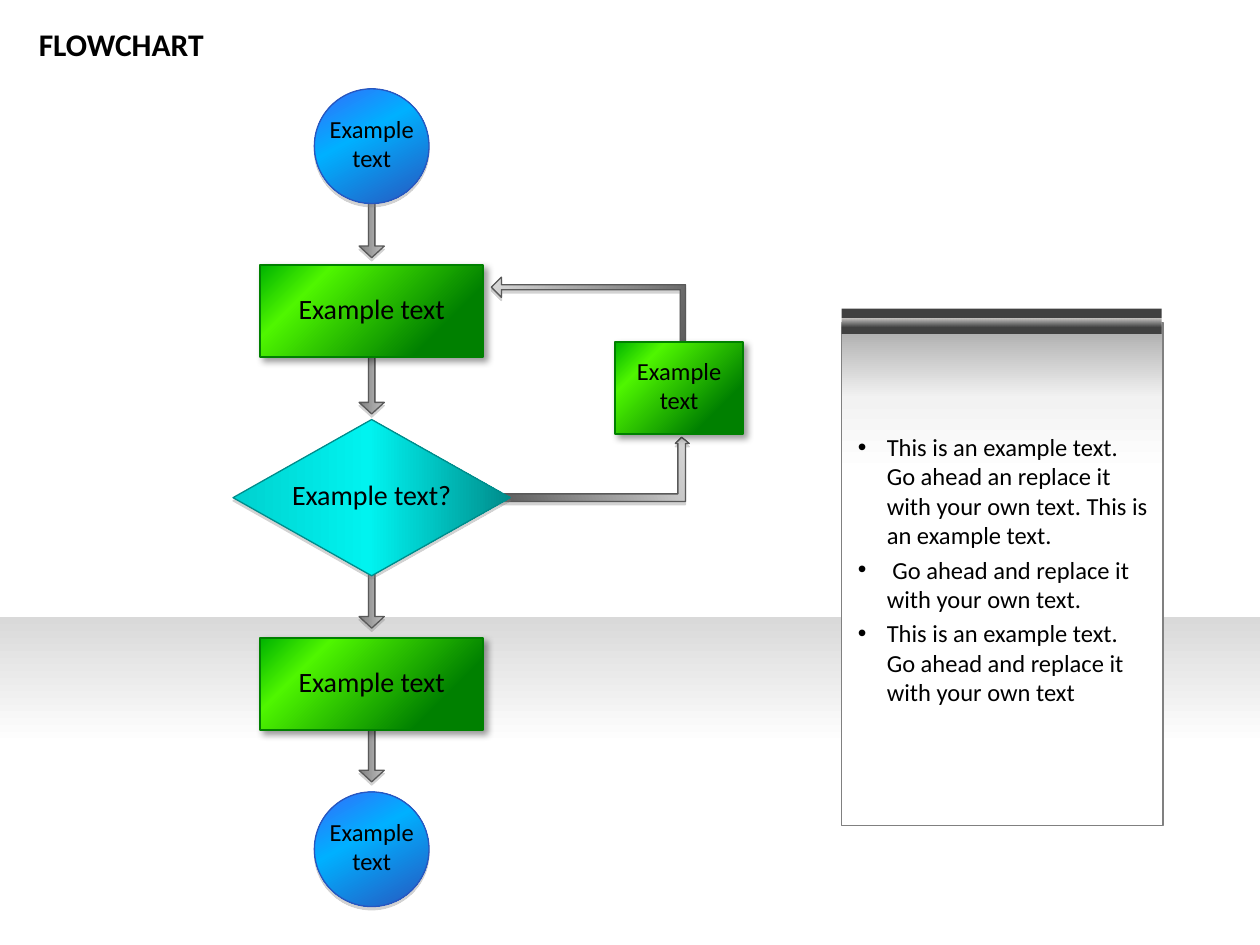
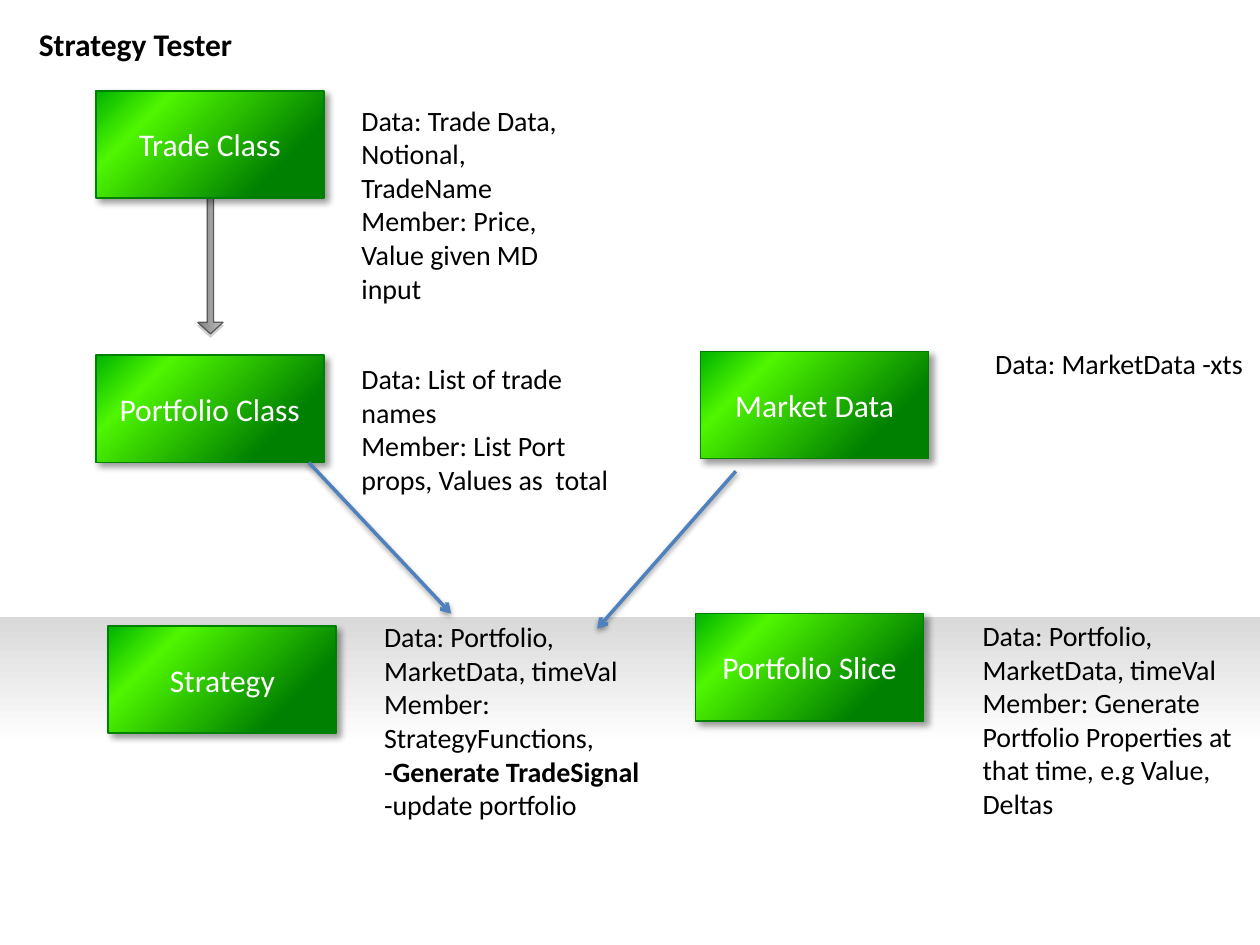
"""Build a two-slide deck: a generic flowchart and the class map of a strategy tester."""
from lxml import etree
from pptx import Presentation
from pptx.dml.color import RGBColor
from pptx.enum.shapes import MSO_CONNECTOR, MSO_SHAPE
from pptx.enum.text import MSO_ANCHOR, MSO_AUTO_SIZE, PP_ALIGN
from pptx.oxml.ns import qn
from pptx.util import Inches, Pt

RECTANGLE, ELLIPSE, DIAMOND = MSO_SHAPE.RECTANGLE, MSO_SHAPE.OVAL, MSO_SHAPE.DIAMOND
RIGHT_ARROW = MSO_SHAPE.RIGHT_ARROW
STRAIGHT = MSO_CONNECTOR.STRAIGHT
LEFT, CENTER = PP_ALIGN.LEFT, PP_ALIGN.CENTER
MIDDLE, GROW = MSO_ANCHOR.MIDDLE, MSO_AUTO_SIZE.SHAPE_TO_FIT_TEXT

FONT = "Calibri"
BLACK = RGBColor(0x00, 0x00, 0x00)
WHITE = RGBColor(0xFF, 0xFF, 0xFF)
WARM_WHITE = RGBColor(0xFF, 0xFC, 0xF9)
PALE_GRAY = RGBColor(0xF3, 0xF3, 0xF3)
MIST = RGBColor(0xF2, 0xF2, 0xF2)
LIGHT_GRAY = RGBColor(0xD9, 0xD9, 0xD9)
SILVER = RGBColor(0xBF, 0xBF, 0xBF)
ASH = RGBColor(0xA6, 0xA6, 0xA6)
MID_GRAY = RGBColor(0x80, 0x80, 0x80)
STEEL = RGBColor(0x7F, 0x7F, 0x7F)
DARK_GRAY = RGBColor(0x59, 0x59, 0x59)
CHARCOAL = RGBColor(0x40, 0x40, 0x40)
DARK_GREEN = RGBColor(0x00, 0x80, 0x00)
LIME = RGBColor(0x4F, 0xF6, 0x00)
GREEN = RGBColor(0x00, 0xB3, 0x00)
BLUE = RGBColor(0x33, 0x6F, 0xFA)
SKY = RGBColor(0x00, 0xB0, 0xFF)
NAVY = RGBColor(0x28, 0x56, 0xBF)
TURQUOISE = RGBColor(0x00, 0xD1, 0xCF)
AQUA = RGBColor(0x00, 0xF3, 0xF0)
TEAL = RGBColor(0x00, 0x8C, 0x8B)
LINK_BLUE = RGBColor(0x4F, 0x81, 0xBD)

SOFT_SHADOW = (MID_GRAY, 35, 0, 1.8, 90)
CARD_SHADOW = (BLACK, 40, 4, 3, 45)
LINK_SHADOW = (BLACK, 38, 3.1, 1.6, 90)

ELBOW_STOPS = [(0, DARK_GRAY), (100, LIGHT_GRAY)]
STYLES = {
    "band": dict(stops=[(61, WHITE), (100, LIGHT_GRAY)], angle=270),
    "arrow": dict(stops=[(0, SILVER), (100, STEEL)], angle=90,
                  line=(DARK_GRAY, 0.75), shadow=SOFT_SHADOW),
    "elbow right": dict(stops=ELBOW_STOPS, angle=339,
                        line=(DARK_GRAY, 0.75), shadow=SOFT_SHADOW),
    "elbow left": dict(stops=ELBOW_STOPS, angle=201,
                       line=(DARK_GRAY, 0.75), shadow=SOFT_SHADOW),
    "circle": dict(stops=[(0, BLUE), (2, BLUE), (40, SKY), (100, NAVY)], angle=61,
                   line=(NAVY, 0.75), shadow=SOFT_SHADOW),
    "card": dict(stops=[(22, DARK_GREEN), (77, LIME), (100, GREEN)], angle=225,
                 line=(DARK_GREEN, 1), shadow=CARD_SHADOW),
    "diamond": dict(stops=[(0, TURQUOISE), (49, AQUA), (100, TEAL)], angle=0,
                    line=(TEAL, 0.75), shadow=SOFT_SHADOW),
    "panel": dict(stops=[(70, WHITE), (85, MIST), (100, ASH)], angle=270,
                  line=(MID_GRAY, 0.75)),
    "panel bar": dict(solid=CHARCOAL),
    "panel gloss": dict(stops=[(0, PALE_GRAY, 0), (100, WARM_WHITE, 79)], angle=270),
}

BAND = (0, 4.9, 10, 2.6)
AXIS = 2.95
LABEL_LIFT = 0.02
NODE_KINDS = {
    "terminal": (ELLIPSE, "circle", (0.91, 0.91), (1.02, 0.57), 14),
    "step": (RECTANGLE, "card", (1.77, 0.73), (1.66, 0.37), 16),
    "decision": (DIAMOND, "diamond", (2.2, 1.24), (1.66, 0.37), 16),
    "side step": (RECTANGLE, "card", (1.02, 0.73), (1.02, 0.57), 14),
}
NODES = [
    ("terminal", "Example text", AXIS, 1.16),
    ("step", "Example text", AXIS, 2.47),
    ("decision", "Example text?", AXIS, 3.95),
    ("step", "Example text", AXIS, 5.43),
    ("terminal", "Example text", AXIS, 6.74),
    ("side step", "Example text", 5.39, 3.08),
]
FLOW_ARROW_ROWS = [1.82, 3.06, 4.76, 5.98]
ELBOWS = {
    "elbow right": [(3.92, 3.92), (5.38, 3.92), (5.38, 3.52), (5.36, 3.52), (5.41, 3.47),
                    (5.47, 3.52), (5.44, 3.52), (5.44, 3.98), (3.92, 3.98)],
    "elbow left": [(5.4, 2.93), (5.4, 2.3), (3.98, 2.3), (3.98, 2.36), (3.9, 2.28),
                   (3.98, 2.2), (3.98, 2.26), (5.44, 2.26), (5.44, 2.93)],
}
PANEL_PARTS = [
    ("panel", (6.68, 2.56, 2.55, 3.99)),
    ("panel bar", (6.68, 2.45, 2.54, 0.2)),
    ("panel gloss", (6.68, 2.53, 2.54, 0.06)),
]
PANEL_TEXT_BOX = (6.71, 3.38, 2.51, 2.6)
PANEL_BULLETS = [
    ["This is an example text. Go ahead an replace it with your own text. "
     "This is an example text."],
    [" Go ahead and replace it with your own text."],
    ["This is an example text. Go ahead and replace it with your own text"],
]

CLASS_SIZE = (1.81, 0.85)
CLASSES = [
    ("Trade Class", 0.76, 0.72),
    ("Market Data", 5.56, 2.79),
    ("Portfolio Class", 0.76, 2.82),
    ("Portfolio Slice", 5.52, 4.87),
    ("Strategy", 0.86, 4.97),
]
CLASS_NOTES = [
    ((2.77, 0.77, 1.79, 1.72),
     [["Data: Trade Data,"], ["Notional, TradeName"],
      ["Member: Price, Value given MD input"]]),
    ((2.77, 2.82, 2.2, 1.18),
     [["Data: List of trade names"], ["Member: List Port props, Values as  total"]]),
    ((7.8, 2.7, 2.2, 0.37), [["Data: MarketData -xts"]]),
    ((2.95, 4.87, 2.57, 1.72),
     [["Data: Portfolio, MarketData, timeVal"], ["Member: StrategyFunctions,"],
      ["-", ("Generate TradeSignal", True)], ["-update portfolio"]]),
    ((7.7, 4.86, 2.2, 1.72),
     [["Data: Portfolio, MarketData, timeVal"],
      ["Member: Generate Portfolio Properties at that time, e.g Value, Deltas"]]),
]
CLASS_LINKS = [((2.45, 3.67), (3.58, 4.87)), ((5.84, 3.74), (4.74, 4.99))]


def add_element(parent, tag, **attributes):
    values = {name: str(value) for name, value in attributes.items()}
    return etree.SubElement(parent, qn(tag), values)


def add_color(parent, color, alpha=100):
    element = add_element(parent, "a:srgbClr", val=color)
    if alpha < 100:
        add_element(element, "a:alpha", val=alpha * 1000)


def add_shadow(effects, color, alpha, blur, distance, direction):
    shadow = add_element(effects, "a:outerShdw", blurRad=Pt(blur), dist=Pt(distance),
                         dir=direction * 60000, algn="ctr", rotWithShape=0)
    add_color(shadow, color, alpha)


def apply_style(shape, solid=None, stops=(), angle=0, line=None, shadow=None):
    properties = shape._element.spPr
    if solid is not None:
        shape.fill.solid()
        shape.fill.fore_color.rgb = solid
    else:
        shape.fill.background()
        gradient = etree.Element(qn("a:gradFill"), {"rotWithShape": "1"})
        stop_list = add_element(gradient, "a:gsLst")
        for position, *color in stops:
            add_color(add_element(stop_list, "a:gs", pos=position * 1000), *color)
        add_element(gradient, "a:lin", ang=angle * 60000, scaled=0)
        properties.replace(properties.find(qn("a:noFill")), gradient)
    if line:
        shape.line.color.rgb = line[0]
        shape.line.width = Pt(line[1])
    else:
        shape.line.fill.background()
    shape.shadow.inherit = False
    if shadow:
        add_shadow(properties.find(qn("a:effectLst")), *shadow)


def add_styled(shapes, kind, style, box):
    shape = shapes.add_shape(kind, *map(Inches, box))
    apply_style(shape, **STYLES[style])
    return shape


def write(frame, paragraphs, size, color=BLACK, bold=False, align=LEFT, bullets=False):
    frame.word_wrap = True
    for index, runs in enumerate(paragraphs):
        paragraph = frame.paragraphs[0] if index == 0 else frame.add_paragraph()
        paragraph.alignment = align
        if bullets:
            paragraph.space_before = Pt(size * 0.2)
            properties = paragraph._p.get_or_add_pPr()
            properties.set("marL", str(Inches(0.23)))
            properties.set("indent", str(-Inches(0.23)))
            add_element(properties, "a:buFont", typeface="Arial")
            add_element(properties, "a:buChar", char="•")
        for part in runs:
            text, strong = part if isinstance(part, tuple) else (part, bold)
            run = paragraph.add_run()
            run.text = text
            run.font.name, run.font.size, run.font.bold = FONT, Pt(size), strong
            run.font.color.rgb = color


def add_text(shapes, box, paragraphs, size, **options):
    frame = shapes.add_textbox(*map(Inches, box)).text_frame
    write(frame, paragraphs, size, **options)
    frame.auto_size = GROW


def centered(x, y, size):
    width, height = size
    return x - width / 2, y - height / 2, width, height


def add_down_arrow(shapes, x, y, length):
    arrow = add_styled(shapes, RIGHT_ARROW, "arrow", centered(x, y, (length, 0.2)))
    arrow.rotation = 90
    arrow.adjustments[0], arrow.adjustments[1] = 0.25, 0.458


def add_elbow(shapes, style, points):
    start, *rest = [(Inches(x), Inches(y)) for x, y in points]
    builder = shapes.build_freeform(*start, scale=1.0)
    builder.add_line_segments(rest, close=True)
    apply_style(builder.convert_to_shape(), **STYLES[style])


def add_node(shapes, kind, text, x, y):
    geometry, style, size, label_size, font_size = NODE_KINDS[kind]
    add_styled(shapes, geometry, style, centered(x, y, size))
    add_text(shapes, centered(x, y - LABEL_LIFT, label_size), [[text]], font_size,
             align=CENTER)


def add_link(shapes, start, end):
    link = shapes.add_connector(STRAIGHT, *map(Inches, start + end))
    link.line.color.rgb = LINK_BLUE
    link.line.width = Pt(2)
    add_element(link.line._get_or_add_ln(), "a:tailEnd", type="arrow")
    add_shadow(add_element(link._element.spPr, "a:effectLst"), *LINK_SHADOW)


def start_slide(presentation, title, title_width):
    shapes = presentation.slides.add_slide(presentation.slide_layouts[6]).shapes
    add_styled(shapes, RECTANGLE, "band", BAND)
    add_text(shapes, (0.21, 0.15, title_width, 0.4), [[title]], 18, bold=True)
    return shapes


def build_flowchart(presentation):
    shapes = start_slide(presentation, "FLOWCHART", 1.64)
    for row in FLOW_ARROW_ROWS:
        add_down_arrow(shapes, AXIS, row, 0.45)
    for style, points in ELBOWS.items():
        add_elbow(shapes, style, points)
    for node in NODES:
        target = shapes.add_group_shape().shapes if node[0] == "decision" else shapes
        add_node(target, *node)
    panel = shapes.add_group_shape().shapes
    for style, box in PANEL_PARTS:
        add_styled(panel, RECTANGLE, style, box)
    add_text(shapes, PANEL_TEXT_BOX, PANEL_BULLETS, 14, bullets=True)


def build_class_map(presentation):
    shapes = start_slide(presentation, "Strategy Tester", 2.98)
    add_down_arrow(shapes, 1.67, 2.11, 1.08)
    for name, left, top in CLASSES:
        card = add_styled(shapes, RECTANGLE, "card", (left, top, *CLASS_SIZE))
        card.text_frame.vertical_anchor = MIDDLE
        write(card.text_frame, [[name]], 18, color=WHITE, align=CENTER)
    for start, end in CLASS_LINKS:
        add_link(shapes, start, end)
    for box, paragraphs in CLASS_NOTES:
        add_text(shapes, box, paragraphs, 16)


presentation = Presentation()
presentation.slide_width, presentation.slide_height = Inches(10), Inches(7.5)
build_flowchart(presentation)
build_class_map(presentation)
presentation.save("out.pptx")
